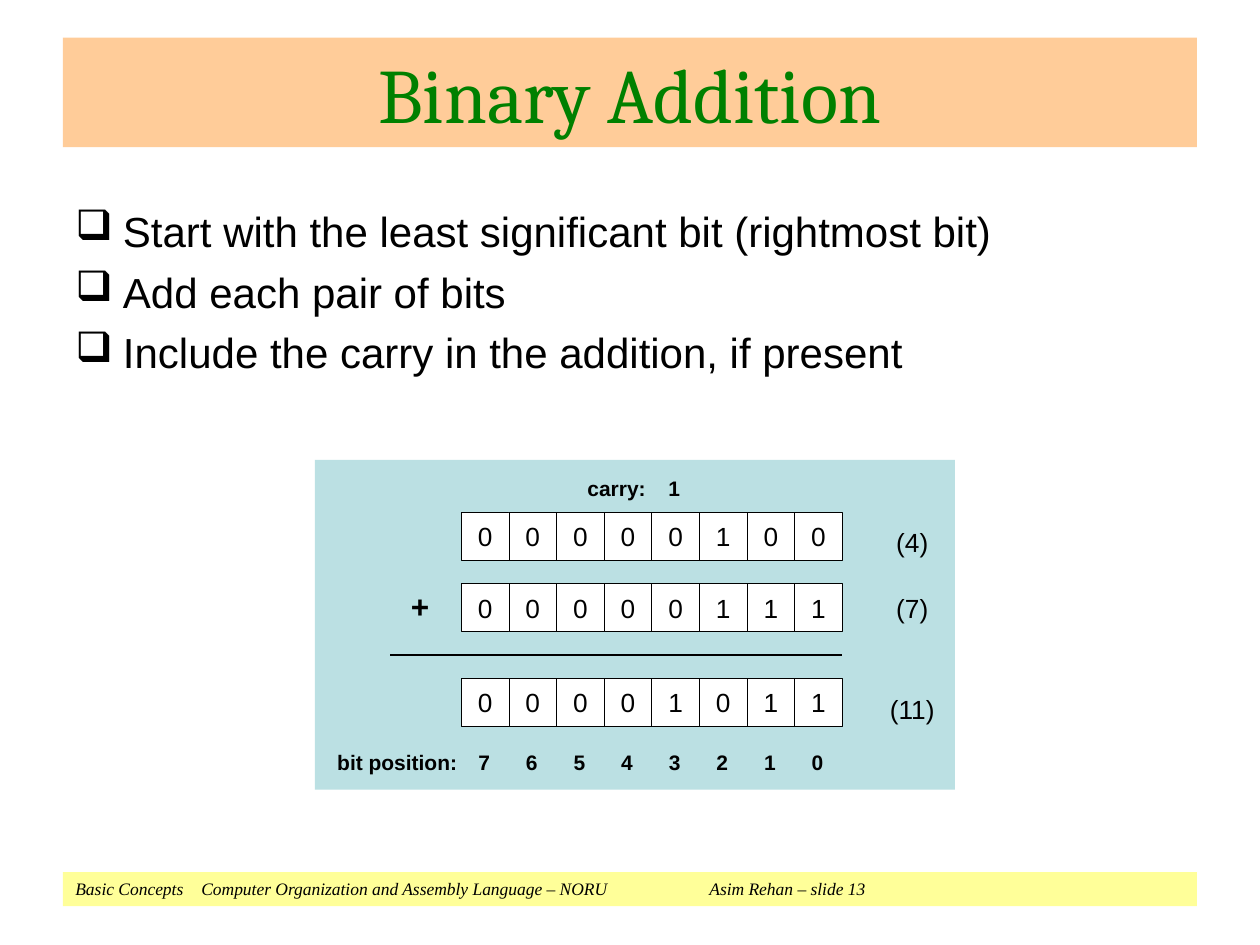
from lxml import etree
from pptx import Presentation
from pptx import util as u
from pptx.dml.color import RGBColor
from pptx.enum import shapes, text
from pptx.oxml import ns

COLORS = {
    "ink": "000000",
    "title": "008000",
    "title_band": "FFCC99",
    "footer_band": "FFFF99",
    "panel": "BBE0E3",
    "cell": "FFFFFF",
}
CELL = 0.96
CELLS_LEFT = 9.3
SUM_RIGHT = CELLS_LEFT + 8 * CELL
BULLETS = [
    "Start with the least significant bit (rightmost bit)",
    "Add each pair of bits",
    "Include the carry in the addition, if present",
]
ROWS = [
    (10.33, "00000100", "(4)", 10.6),
    (11.77, "00000111", "(7)", 11.94),
    (13.68, "00001011", "(11)", 13.97),
]


def color(name):
    return RGBColor.from_string(COLORS[name])


def style(para, size, name="Arial", ink="ink", bold=False, italic=False):
    para.font.size = u.Pt(size)
    para.font.name = name
    para.font.color.rgb = color(ink)
    para.font.bold = bold
    para.font.italic = italic


def clear_margins(frame):
    frame.margin_left = frame.margin_right = 0
    frame.margin_top = frame.margin_bottom = 0


def add_rectangle(page, left, top, width, height, fill, outlined=False):
    box = page.shapes.add_shape(
        shapes.MSO_SHAPE.RECTANGLE, u.Cm(left), u.Cm(top), u.Cm(width), u.Cm(height)
    )
    box.shadow.inherit = False
    box.fill.solid()
    box.fill.fore_color.rgb = color(fill)
    if outlined:
        box.line.color.rgb = color("ink")
        box.line.width = u.Pt(0.37)
    else:
        box.line.fill.background()
    return box


def add_title(page):
    box = add_rectangle(page, 1.27, 0.76, 22.86, 2.21, "title_band")
    box.text_frame.vertical_anchor = text.MSO_ANCHOR.MIDDLE
    para = box.text_frame.paragraphs[0]
    para.text = "Binary Addition"
    para.alignment = text.PP_ALIGN.CENTER
    style(para, 44, "Cambria", "title")


def add_footer(page):
    box = add_rectangle(page, 1.27, 17.58, 22.86, 0.69, "footer_band")
    box.text_frame.vertical_anchor = text.MSO_ANCHOR.TOP
    para = box.text_frame.paragraphs[0]
    para.text = (
        "Basic Concepts\tComputer Organization and Assembly Language – NORU"
        "\t Asim Rehan – slide 13"
    )
    para.alignment = text.PP_ALIGN.LEFT
    para.space_before = u.Pt(6.2)
    style(para, 10, "Times New Roman", italic=True)
    properties = para._p.get_or_add_pPr()
    tabs = etree.Element(ns.qn("a:tabLst"))
    for position in (2.54, 12.7):
        etree.SubElement(tabs, ns.qn("a:tab"), pos=str(u.Cm(position)), algn="l")
    properties.find(ns.qn("a:defRPr")).addprevious(tabs)


def add_bullets(page):
    box = page.shapes.add_textbox(u.Cm(1.27), u.Cm(4.01), u.Cm(22.86), u.Cm(5.05))
    frame = box.text_frame
    frame.word_wrap = True
    for index, line in enumerate(BULLETS):
        para = frame.add_paragraph() if index else frame.paragraphs[0]
        para.text = line
        para.space_before = u.Pt(6)
        style(para, 24)
        properties = para._p.get_or_add_pPr()
        properties.set("marL", str(u.Cm(0.96)))
        properties.set("indent", str(-u.Cm(0.96)))
        bullet = etree.Element(ns.qn("a:buChar"), char="❑")
        properties.find(ns.qn("a:defRPr")).addprevious(bullet)


def add_label(page, center, top, width, words, size=12, bold=True):
    box = page.shapes.add_textbox(
        u.Cm(center - width / 2), u.Cm(top), u.Cm(width), u.Cm(size * 0.042)
    )
    frame = box.text_frame
    frame.word_wrap = False
    clear_margins(frame)
    para = frame.paragraphs[0]
    para.text = words
    para.alignment = text.PP_ALIGN.CENTER
    style(para, size, bold=bold)


def add_bit_row(page, top, bits):
    for column, bit in enumerate(bits):
        left = CELLS_LEFT + column * CELL
        box = add_rectangle(page, left, top, CELL, CELL, "cell", outlined=True)
        clear_margins(box.text_frame)
        box.text_frame.vertical_anchor = text.MSO_ANCHOR.MIDDLE
        para = box.text_frame.paragraphs[0]
        para.text = bit
        para.alignment = text.PP_ALIGN.CENTER
        style(para, 15)


def add_sum_line(page):
    line = page.shapes.add_connector(
        shapes.MSO_CONNECTOR.STRAIGHT,
        u.Cm(7.87), u.Cm(13.21), u.Cm(SUM_RIGHT), u.Cm(13.21),
    )
    line.line.color.rgb = color("ink")
    line.line.width = u.Pt(1.13)
    etree.SubElement(line._element.spPr, ns.qn("a:effectLst"))


def add_addition(page):
    add_rectangle(page, 6.35, 9.27, 12.9, 6.65, "panel")
    for top, bits, value, value_top in ROWS:
        add_bit_row(page, top, bits)
        add_label(page, 18.39, value_top, 1.1, value, 15, False)
    add_sum_line(page)
    add_label(page, 8.47, 11.84, 0.5, "+", 18)
    add_label(page, 12.43, 9.58, 1.4, "carry:")
    add_label(page, CELLS_LEFT + 4.5 * CELL - 0.03, 9.58, 0.4, "1")
    add_label(page, 8.01, 15.11, 2.7, "bit position:")
    for column in range(8):
        center = CELLS_LEFT + (column + 0.5) * CELL - 0.02
        add_label(page, center, 15.11, 0.4, str(7 - column))


def main():
    deck = Presentation()
    deck.slide_width, deck.slide_height = u.Cm(25.4), u.Cm(19.05)
    page = deck.slides.add_slide(deck.slide_layouts[6])
    add_footer(page)
    add_title(page)
    add_bullets(page)
    add_addition(page)
    deck.save("out.pptx")


if __name__ == "__main__":
    main()
